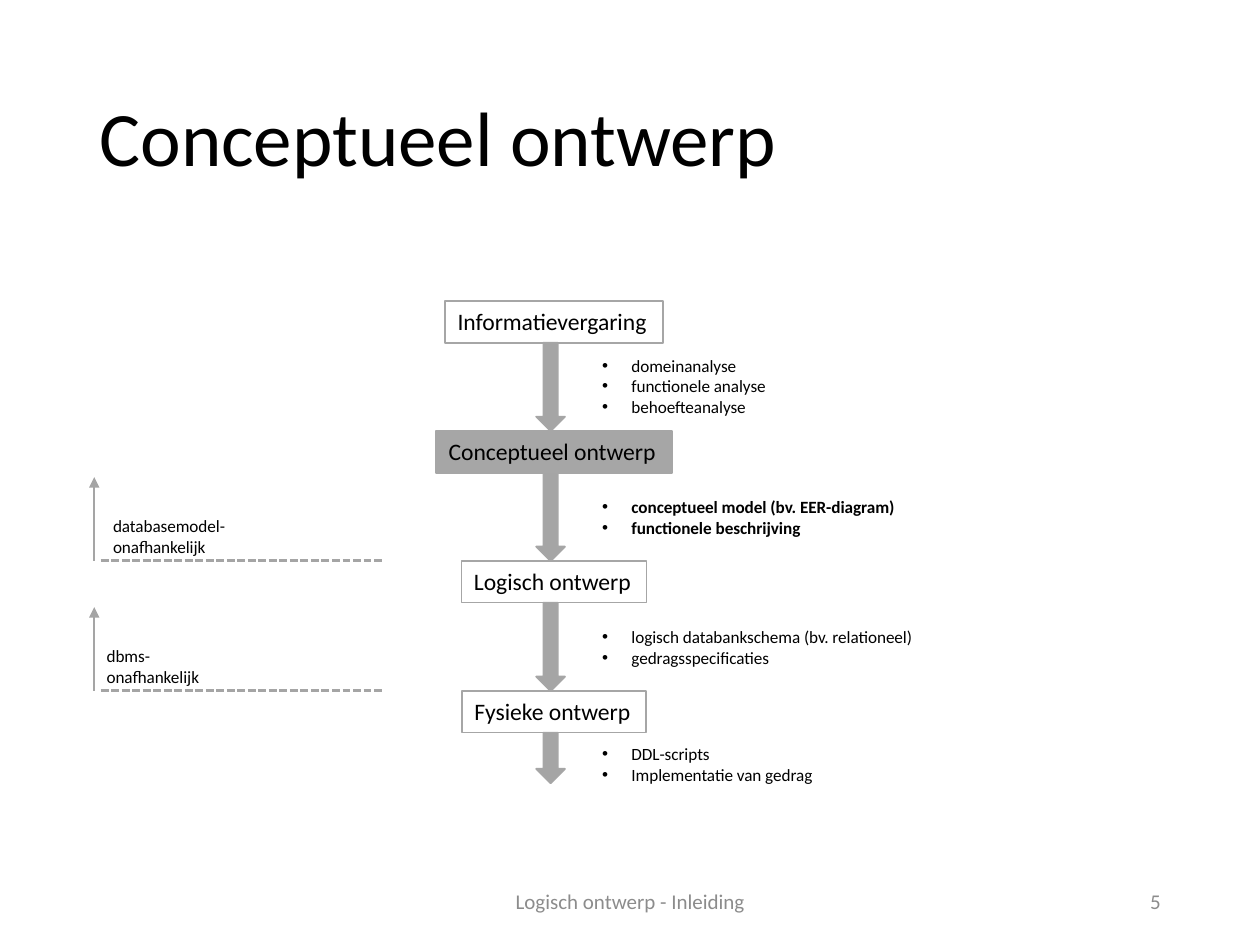
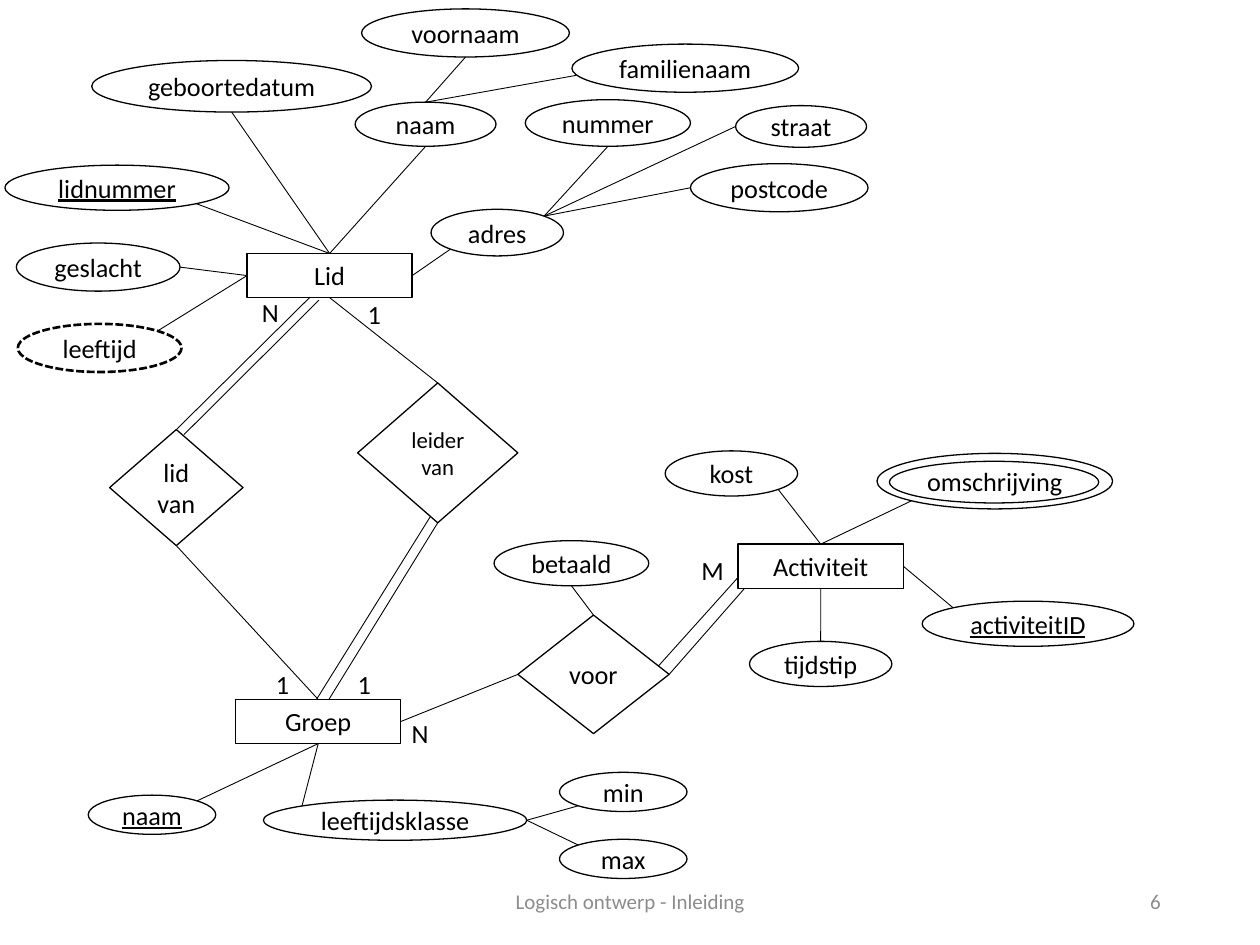
from math import sqrt

from lxml.etree import SubElement
from pptx import Presentation
from pptx.dml.color import RGBColor
from pptx.enum.dml import MSO_LINE
from pptx.enum.shapes import MSO_CONNECTOR, MSO_SHAPE
from pptx.enum.text import MSO_ANCHOR, MSO_AUTO_SIZE, PP_ALIGN
from pptx.oxml.ns import qn
from pptx.util import Cm, Pt

BLACK = RGBColor(0x00, 0x00, 0x00)
WHITE = RGBColor(0xFF, 0xFF, 0xFF)
GREY = RGBColor(0xA6, 0xA6, 0xA6)
ARROW_GREY = RGBColor(0xA5, 0xA5, 0xA5)
FOOTER_GREY = RGBColor(0x8C, 0x8C, 0x8C)
FONT = "Calibri"
FOOTER = "Logisch ontwerp - Inleiding"
NOTE_SIZE = 9.75

# Design steps: name, box width, fill, arrow length, note offset, note width, notes
STEPS = [
    ("Informatievergaring", 4.39, WHITE, 1.78, 0.13, 3.86,
     ["domeinanalyse", "functionele analyse", "behoefteanalyse"]),
    ("Conceptueel ontwerp", 4.75, GREY, 1.78, 0.36, 6.53,
     ["conceptueel model (bv. EER-diagram)", "functionele beschrijving"]),
    ("Logisch ontwerp", 3.73, None, 1.78, 0.36, 6.88,
     ["logisch databankschema (bv. relationeel)", "gedragsspecificaties"]),
    ("Fysieke ontwerp", 3.71, None, 1.02, 0.1, 4.83,
     ["DDL-scripts", "Implementatie van gedrag"]),
]
CURRENT_STEP = "Conceptueel ontwerp"
STEP_HEIGHT, STEP_PITCH = 0.84, 2.62

# Diagram nodes: left, top, width, height
ENTITIES = {
    "Lid": (4.98, 5.11, 3.33, 0.89),
    "Groep": (4.75, 14.1, 3.33, 0.89),
    "Activiteit": (14.88, 10.97, 3.33, 0.89),
}
ATTRIBUTES = {
    "lidnummer": (0.1, 3.33, 4.52, 0.91),
    "geboortedatum": (1.85, 1.22, 5.64, 1.04),
    "geslacht": (0.33, 4.9, 3.3, 0.97),
    "leeftijd": (0.36, 6.53, 3.3, 0.97),
    "naam": (7.16, 2.06, 2.84, 0.89),
    "voornaam": (7.29, 0.18, 4.19, 0.97),
    "familienaam": (11.53, 0.89, 4.57, 0.97),
    "adres": (8.69, 4.22, 2.67, 0.94),
    "nummer": (10.59, 2.01, 3.33, 0.94),
    "straat": (14.83, 2.13, 2.64, 0.84),
    "postcode": (13.92, 3.3, 3.58, 0.97),
    "groepsnaam": (1.78, 16.03, 2.57, 0.79),
    "leeftijdsklasse": (5.31, 16.13, 5.31, 0.81),
    "min": (11.28, 15.57, 2.57, 0.79),
    "max": (11.28, 16.92, 2.57, 0.79),
    "betaald": (9.96, 10.9, 3.12, 0.91),
    "kost": (13.41, 9.09, 2.67, 0.91),
    "omschrijving": (17.68, 9.14, 4.75, 1.12),
    "tijdstip": (15.11, 12.93, 2.87, 0.91),
    "activiteitID": (18.59, 12.12, 4.27, 0.91),
}
MULTIVALUED_RING = (17.93, 9.3, 4.22, 0.84)
RELATIONS = {
    "lid van": (2.21, 8.66, 2.69, 2.34),
    "leider van": (7.21, 7.72, 3.23, 2.82),
    "voor": (10.44, 12.4, 3.05, 2.39),
}
LABELS = {"groepsnaam": "naam"}
KEY_ATTRIBUTES = {"lidnummer", "groepsnaam", "activiteitID"}
DERIVED_ATTRIBUTES = {"leeftijd"}

# Each end is a (node, side) pair or a free point
LINKS = [
    (("lidnummer", "br"), ("Lid", "t")),
    (("geboortedatum", "b"), ("Lid", "t")),
    (("naam", "b"), ("Lid", "t")),
    (("voornaam", "b"), ("naam", "t")),
    ((11.61, 1.52), ("naam", "t")),
    (("geslacht", "r"), ("Lid", "l")),
    (("leeftijd", "tr"), ("Lid", "l")),
    (("Lid", "r"), ("adres", "bl")),
    (("nummer", "b"), ("adres", "tr")),
    (("straat", "l"), ("adres", "tr")),
    (("postcode", "l"), ("adres", "tr")),
    (("Groep", "b"), ("groepsnaam", "tr")),
    (("leeftijdsklasse", "tl"), ("Groep", "b")),
    (("min", "bl"), ("leeftijdsklasse", "r")),
    (("max", "tl"), ("leeftijdsklasse", "r")),
    (("kost", "br"), ("Activiteit", "t")),
    (("omschrijving", "bl"), ("Activiteit", "t")),
    (("tijdstip", "t"), ("Activiteit", "b")),
    (("activiteitID", "tl"), ("Activiteit", "r")),
    (("betaald", "b"), ("voor", "t")),
    (("Groep", "t"), ("lid van", "b")),
    (("Lid", "b"), ("leider van", "t")),
    (("voor", "l"), ("Groep", "r")),
    # Double lines for total participation
    (("lid van", "t"), (6.25, 5.99)),
    ((3.71, 8.76), (6.43, 6.05)),
    (("leider van", "b"), (6.63, 14.1)),
    ((8.69, 10.39), (6.38, 14.1)),
    ((15.01, 11.86), ("voor", "r")),
    ((14.86, 11.66), (13.26, 13.44)),
]
CARDINALITIES = [
    ("N", 5.03, 5.84), ("1", 7.16, 5.89), ("1", 5.31, 13.34),
    ("1", 6.96, 13.34), ("N", 8.05, 14.33), ("M", 13.89, 11.05),
]


def write(shape, lines, size, color=BLACK, align=PP_ALIGN.LEFT,
          anchor=MSO_ANCHOR.TOP, wrap=True, bold=False, underline=False, bullets=False):
    frame = shape.text_frame
    frame.word_wrap = wrap
    frame.vertical_anchor = anchor
    frame.text = "\n".join(lines)
    for paragraph in frame.paragraphs:
        paragraph.alignment = align
        if bullets:
            add_bullet(paragraph)
        for run in paragraph.runs:
            font = run.font
            font.name, font.size, font.color.rgb = FONT, Pt(size), color
            font.bold, font.underline = bold, underline
    return frame


def add_bullet(paragraph):
    properties = paragraph._p.get_or_add_pPr()
    properties.set("marL", str(Cm(0.59)))
    properties.set("indent", str(-Cm(0.59)))
    SubElement(properties, qn("a:buFont")).set("typeface", "Arial")
    SubElement(properties, qn("a:buChar")).set("char", "•")


def add_text(slide, box, lines, size, **style):
    text = slide.shapes.add_textbox(*map(Cm, box))
    return write(text, lines, size, **style)


def add_node(slide, kind, box, line_color=BLACK, line_width=0.75, fill=None):
    node = slide.shapes.add_shape(kind, *map(Cm, box))
    node.shadow.inherit = False
    if fill is None:
        node.fill.background()
    else:
        node.fill.solid()
        node.fill.fore_color.rgb = fill
    node.line.color.rgb = line_color
    node.line.width = Pt(line_width)
    return node


def add_line(slide, start, end, color=BLACK, width=0.5, dash=None, arrow=False):
    line = slide.shapes.add_connector(MSO_CONNECTOR.STRAIGHT, *map(Cm, (*start, *end)))
    line.line.color.rgb = color
    line.line.width = Pt(width)
    if dash:
        line.line.dash_style = dash
    if arrow:
        SubElement(line.line._get_or_add_ln(), qn("a:tailEnd")).set("type", "triangle")
    SubElement(line._element.spPr, qn("a:effectLst"))


def add_footer(slide, number, left=8.41, top=17.65):
    add_text(slide, (left, top, 8.59, 1.02), [FOOTER], 12, color=FOOTER_GREY,
             align=PP_ALIGN.CENTER, anchor=MSO_ANCHOR.MIDDLE)
    add_text(slide, (left + 9.52, top, 5.72, 1.02), [str(number)], 12,
             color=FOOTER_GREY, align=PP_ALIGN.RIGHT, anchor=MSO_ANCHOR.MIDDLE)


def add_title(slide, text):
    title = slide.shapes.title
    title.left, title.top, title.width, title.height = map(Cm, (1.75, 1.02, 21.89, 3.68))
    frame = write(title, [text], 44, anchor=MSO_ANCHOR.MIDDLE)
    frame.paragraphs[0].line_spacing = 0.9


def add_design_steps(slide, left, top):
    """Boxes centred on one axis, each with its arrow and results."""
    axis = left + 2.38
    for index, (name, width, fill, length, offset, note_width, notes) in enumerate(STEPS):
        step_top = top + index * STEP_PITCH
        bottom = step_top + STEP_HEIGHT
        step = add_node(slide, MSO_SHAPE.RECTANGLE,
                        (axis - width / 2, step_top, width, STEP_HEIGHT), GREY, 1, fill)
        frame = write(step, [name], 13.5, wrap=False)
        frame.auto_size = MSO_AUTO_SIZE.SHAPE_TO_FIT_TEXT
        add_node(slide, MSO_SHAPE.DOWN_ARROW,
                 (axis - 0.36, bottom, 0.58, length), GREY, 1, ARROW_GREY)
        note_height = 0.26 + 0.415 * len(notes)
        add_text(slide, (left + 3.1, bottom + offset, note_width, note_height), notes,
                 NOTE_SIZE, wrap=False, bold=name == CURRENT_STEP, bullets=True)


def add_independence_mark(slide, left, bottom, lines, label_indent, label_width):
    """Dashed boundary with an upward arrow and a label above it."""
    add_line(slide, (left + 0.13, bottom), (left + 5.8, bottom), ARROW_GREY, 1.5,
             dash=MSO_LINE.SQUARE_DOT)
    add_line(slide, (left, bottom), (left, bottom - 1.68), ARROW_GREY, 1, arrow=True)
    add_text(slide, (left + label_indent, bottom - 1.03, label_width, 1.09), lines,
             NOTE_SIZE, wrap=False)


def side_point(name, side):
    """Point on a node's edge; corners lie on the ellipse's diagonals."""
    left, top, width, height = {**ENTITIES, **ATTRIBUTES, **RELATIONS}[name]
    reach = 0.5 / sqrt(len(side))
    across = ("r" in side) - ("l" in side)
    down = ("b" in side) - ("t" in side)
    return left + width * (0.5 + reach * across), top + height * (0.5 + reach * down)


def add_er_diagram(slide, left, top):
    def shifted(x, y, *size):
        return (left + x, top + y, *size)

    def end_point(end):
        return shifted(*(side_point(*end) if isinstance(end[0], str) else end))

    centred = {"align": PP_ALIGN.CENTER, "anchor": MSO_ANCHOR.MIDDLE}
    for end_a, end_b in LINKS:
        add_line(slide, end_point(end_a), end_point(end_b))

    # Entities
    for name, box in ENTITIES.items():
        entity = add_node(slide, MSO_SHAPE.RECTANGLE, shifted(*box))
        write(entity, [name], 15, align=PP_ALIGN.CENTER)

    # Attributes
    for name, box in ATTRIBUTES.items():
        attribute = add_node(slide, MSO_SHAPE.OVAL, shifted(*box))
        if name in DERIVED_ATTRIBUTES:
            attribute.line.width = Pt(1.5)
            attribute.line.dash_style = MSO_LINE.SQUARE_DOT
        frame = write(attribute, [LABELS.get(name, name)], 15,
                      underline=name in KEY_ATTRIBUTES, **centred)
        frame.margin_left = frame.margin_right = 0
    add_node(slide, MSO_SHAPE.OVAL, shifted(*MULTIVALUED_RING))

    # Relations
    for name, box in RELATIONS.items():
        relation = add_node(slide, MSO_SHAPE.DIAMOND, shifted(*box), fill=WHITE)
        write(relation, [name], 13 if name == "leider van" else 15, **centred)

    # Cardinalities
    for label, x, y in CARDINALITIES:
        add_text(slide, shifted(x, y, 0.86, 0.89), [label], 15, wrap=False)


def build_process_slide(prs):
    slide = prs.slides.add_slide(prs.slide_layouts[5])
    add_title(slide, "Conceptueel ontwerp")
    add_design_steps(slide, 8.79, 6.07)
    add_independence_mark(slide, 1.9, 11.3, ["databasemodel-", "onafhankelijk"], 0.13, 2.79)
    add_independence_mark(slide, 1.9, 13.92, ["dbms-", "onafhankelijk"], 0, 2.41)
    add_footer(slide, 5)


def build_diagram_slide(prs):
    slide = prs.slides.add_slide(prs.slide_layouts[6])
    add_er_diagram(slide, 0, 0)
    add_footer(slide, 6)


def main():
    prs = Presentation()
    prs.slide_width, prs.slide_height = Cm(25.4), Cm(19.05)
    build_process_slide(prs)
    build_diagram_slide(prs)
    prs.save("out.pptx")


if __name__ == "__main__":
    main()
